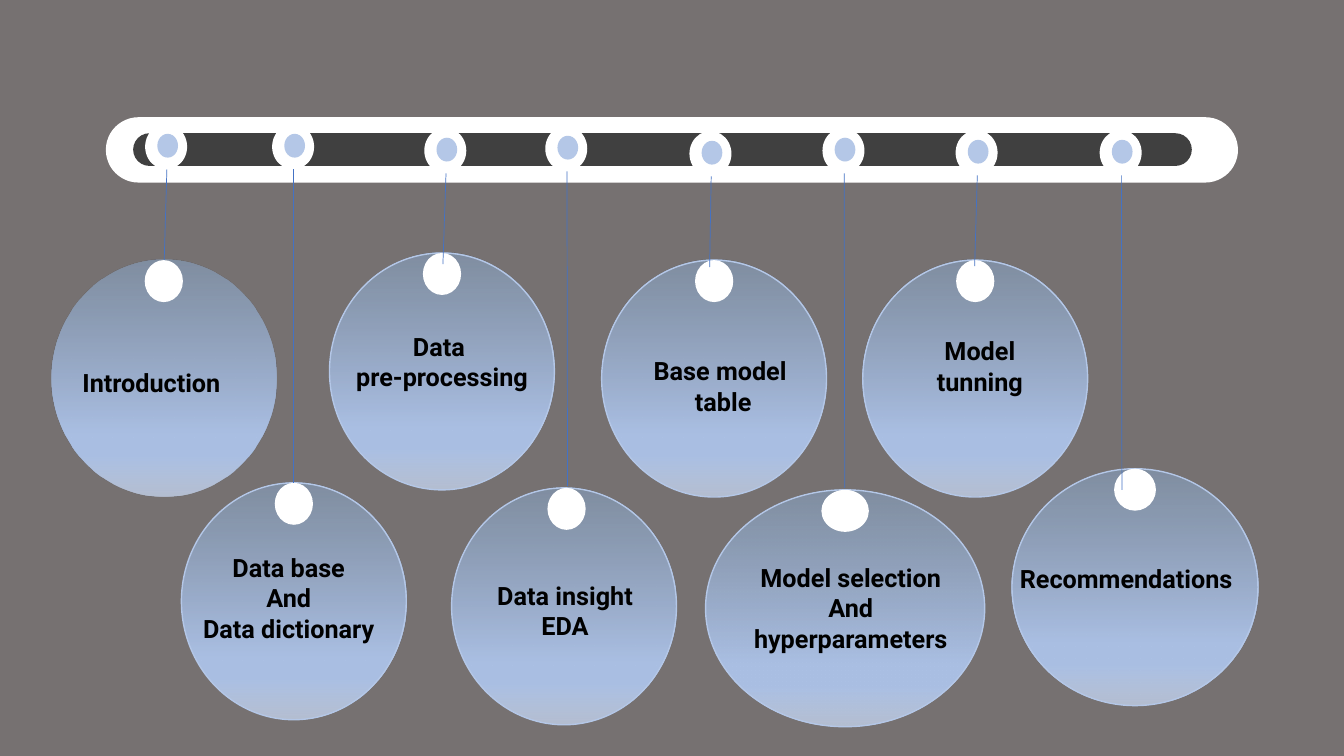
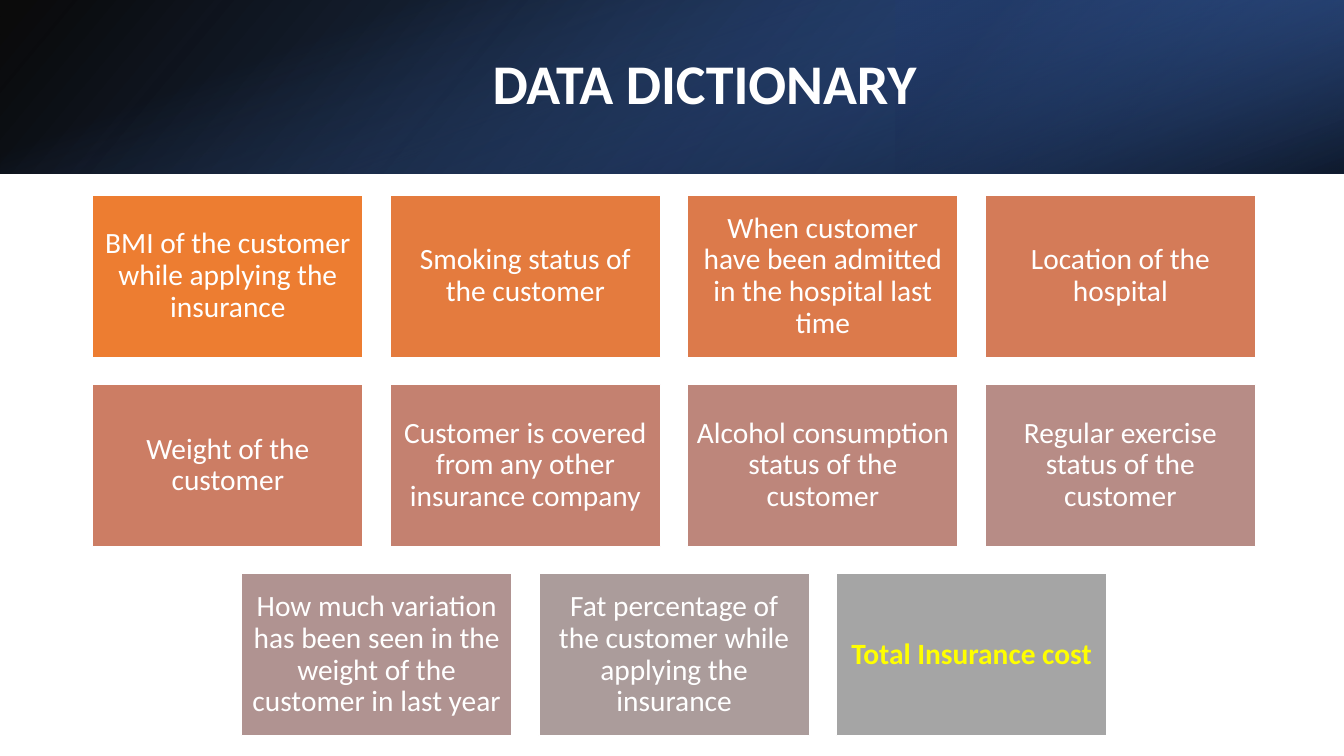
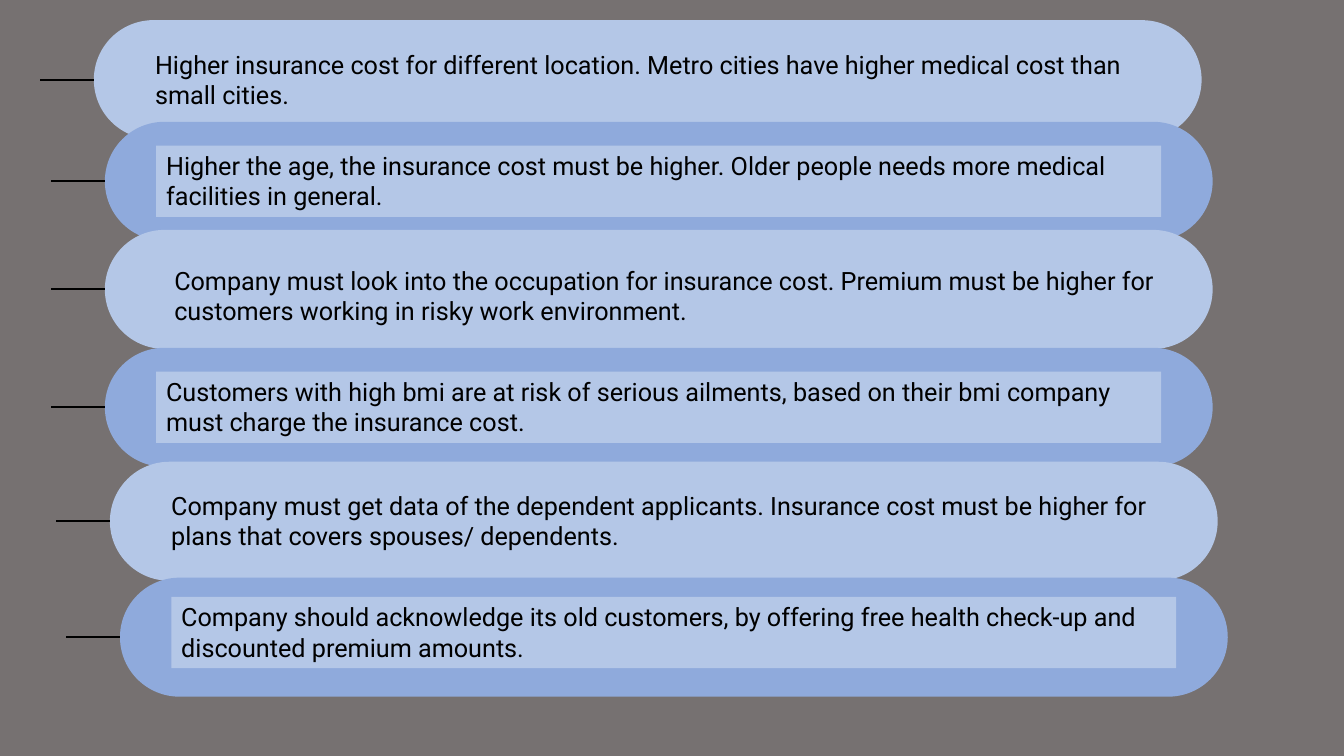
from collections import namedtuple

from lxml import etree
from pptx import Presentation
from pptx import util as u
from pptx.dml.color import RGBColor
from pptx.enum import shapes, text
from pptx.oxml import parse_xml
from pptx.oxml.ns import nsdecls, qn

PALETTE = {
    "stone": "767171", "white": "FFFFFF", "black": "000000", "slot": "404040",
    "pale": "B4C7E7", "blue": "8FAADC", "cord": "4472C4", "yellow": "FFFF00",
}
HEADING, BODY = "Calibri", "Roboto"
SHAPE, ALIGN, ANCHOR = shapes.MSO_SHAPE, text.PP_ALIGN, text.MSO_ANCHOR
WIDTH, HEIGHT = 960, 540

DISC_GRADIENT = [(0, "8497B0", 76), (74, "ABC0E4", 100), (83, "ABC0E4", 100), (100, "C7D5ED", 77)]
BANNER_GRADIENT = [(0, "000000", 96), (100, "2F5597", 100)]
CORNER_GRADIENT = [(19, "203864", 68), (100, "4472C4", 79)]
SHADE_GRADIENT = [(23, "4472C4", 0), (99, "000000", 74)]

Pendant = namedtuple(
    "Pendant", "label disc ring cord_end label_box align knob_shift",
    defaults=(ALIGN.CENTER, 0))
PENDANTS = [
    Pendant("Introduction", (36.7, 185.8, 160.6), (103.7, 88.6), (80.6, 0),
            (15.1, 72.7, 151), ALIGN.LEFT),
    Pendant("Data base\nAnd\nData dictionary", (129.6, 344.9, 160.6), (194.4, 88.6),
            (80.3, 0), (-2.2, 46.1, 157.7)),
    Pendant("Data \npre-processing", (235.4, 180.7, 160.6), (303.1, 91.4), (81, 8),
            (4.4, 52.6, 152)),
    Pendant("Data insight\nEDA", (322.6, 348.5, 160.6), (389.5, 90), (82.8, -1.5),
            (7.2, 62.6, 147.6), knob_shift=1.8),
    Pendant("Base model \ntable", (429.8, 185.8, 160.6), (492.5, 93.6), (77.1, 5),
            (16.6, 64.8, 140.4)),
    Pendant("Model selection\nAnd\nhyperparameters", (504, 349.9, 199.4), (587.5, 91.4),
            (99.4, -1.4), (16.6, 48.3, 174.2)),
    Pendant("Model tunning", (616.3, 185.8, 160.6), (682.6, 92.9), (79.9, 4.3),
            (26.7, 50.4, 113.8)),
    Pendant("Recommendations", (722.9, 334.8, 175.7), (785.5, 92.9), (78.5, 15.1),
            (-1.5, 64.1, 185.8), ALIGN.LEFT),
]

FIELD_ROWS = [
    [("BMI of the customer while applying the insurance", "ED7D31"),
     ("Smoking status of the customer", "E47B3E"),
     ("When customer have been admitted in the hospital last time", "DC7A4B"),
     ("Location of the hospital", "D47B58")],
    [("Weight of the customer", "CC7D64"),
     ("Customer is covered from any other insurance company", "C48170"),
     ("Alcohol consumption status of the customer", "BD867B"),
     ("Regular exercise status of the customer", "B78C86")],
    [("How much variation has been seen in the weight of the customer in last year", "B09391"),
     ("Fat percentage of the customer while applying the insurance", "AB9C9B"),
     ("Total Insurance cost", "A5A5A5")],
]

ADVICE = [
    ("Higher insurance cost for different location. Metro cities have higher medical cost "
     "than small cities.", (67, 14.4), (36.7, 17)),
    ("Higher the age, the insurance cost must be higher. Older people needs more medical "
     "facilities in general.", (74.9, 87), (36.7, 17)),
    ("Company must look into the occupation for insurance cost. Premium must be higher for "
     "customers working in risky work environment.", (74.9, 164.2), (42.5, 21.6)),
    ("Customers with high bmi are at risk of serious ailments, based on their bmi company "
     "must charge the insurance cost.", (74.9, 248.4), (36.7, 17)),
    ("Company must get data of the dependent applicants. Insurance cost must be higher for "
     "plans that covers spouses/ dependents.", (78.5, 329.8), (36.7, 16.6)),
    ("Company should acknowledge its old customers, by offering free health check-up and "
     "discounted premium amounts.", (85.7, 412.6), (36.7, 13.7)),
]


def rgb(colour):
    return RGBColor.from_string(PALETTE.get(colour, colour))


def add_slide(deck, background):
    slide = deck.slides.add_slide(deck.slide_layouts[6])
    slide.background.fill.solid()
    slide.background.fill.fore_color.rgb = rgb(background)
    return slide


def add_block(slide, kind, box, fill, outline=None):
    block = slide.shapes.add_shape(kind, *map(u.Pt, box))
    block.shadow.inherit = False
    block.fill.solid()
    block.fill.fore_color.rgb = rgb(fill)
    if outline:
        block.line.color.rgb = rgb(outline)
        block.line.width = u.Pt(1)
    else:
        block.line.fill.background()
    if kind == SHAPE.ROUNDED_RECTANGLE:
        block.adjustments[0] = 0.5
    return block


def add_gradient(block, stops, angle):
    marks = "".join(
        f'<a:gs pos="{place * 1000}"><a:srgbClr val="{colour}">'
        f'<a:alpha val="{opacity * 1000}"/></a:srgbClr></a:gs>'
        for place, colour, opacity in stops)
    gradient = parse_xml(
        f'<a:gradFill {nsdecls("a")} rotWithShape="1"><a:gsLst>{marks}</a:gsLst>'
        f'<a:lin ang="{angle * 60000}" scaled="0"/></a:gradFill>')
    properties = block._element.spPr
    properties.replace(properties.find(qn("a:solidFill")), gradient)


def add_rule(slide, start, end, colour, width):
    rule = slide.shapes.add_connector(
        shapes.MSO_CONNECTOR.STRAIGHT, *map(u.Pt, (*start, *end)))
    rule.line.color.rgb = rgb(colour)
    rule.line.width = u.Pt(width)
    etree.SubElement(rule._element.spPr, qn("a:effectLst"))


def write(holder, words, font, size, colour="black", bold=False, align=ALIGN.LEFT,
          anchor=ANCHOR.TOP, spacing=1, inset=None):
    frame = holder.text_frame
    frame.word_wrap = True
    frame.vertical_anchor = anchor
    if inset is not None:
        frame.margin_left = frame.margin_right = u.Pt(inset)
        frame.margin_top = frame.margin_bottom = u.Pt(inset)
    frame.text = words
    for paragraph in frame.paragraphs:
        paragraph.alignment = align
        paragraph.line_spacing = spacing
        for run in paragraph.runs:
            run.font.name = font
            run.font.size = u.Pt(size)
            run.font.bold = bold
            run.font.color.rgb = rgb(colour)


def add_words(slide, box, words, font, size, **style):
    write(slide.shapes.add_textbox(*map(u.Pt, box)), words, font, size, **style)


def draw_rail(slide, left, top, width, height):
    add_block(slide, SHAPE.ROUNDED_RECTANGLE, (left, top, width, height), "white")
    add_block(slide, SHAPE.ROUNDED_RECTANGLE,
              (left + 19.5, top + 11.5, width - 52.5, height / 2), "slot")


def draw_pendant(slide, pendant, outline):
    left, top, width = pendant.disc
    disc = add_block(slide, SHAPE.OVAL, (left, top, width, 169.2), "pale", outline)
    add_gradient(disc, DISC_GRADIENT, 90)

    knob_width = width * 0.17
    knob_left = left + (width - knob_width) / 2 + pendant.knob_shift
    add_block(slide, SHAPE.OVAL, (knob_left, top, knob_width, 30), "white")

    ring_left, ring_top = pendant.ring
    add_block(slide, SHAPE.OVAL, (ring_left, ring_top, 30, 32.4), "white")
    add_block(slide, SHAPE.OVAL, (ring_left + 8.7, ring_top + 7, 14.8, 17), "pale")

    cord_x, cord_y = pendant.cord_end
    add_rule(slide, (ring_left + 15.5, ring_top + 32.4), (left + cord_x, top + cord_y),
             "cord", 0.5)

    label_x, label_y, label_width = pendant.label_box
    label_height = 7.2 + 21.6 * len(pendant.label.split("\n"))
    add_words(slide, (left + label_x, top + label_y, label_width, label_height),
              pendant.label, BODY, 18, bold=True, align=pendant.align)


def draw_banner(slide, width, height):
    banner = add_block(slide, SHAPE.RECTANGLE, (0, 0, width, height), "black")
    add_gradient(banner, BANNER_GRADIENT, 140)
    corner = add_block(slide, SHAPE.RECTANGLE, (width * 2 / 3, 0, width / 3, height), "black")
    add_gradient(corner, CORNER_GRADIENT, 320)
    corner.rotation = 180
    for mirrored in (banner, corner):
        mirrored._element.spPr.xfrm.set("flipH", "1")
    reach = (width - height) / 2
    shade = add_block(slide, SHAPE.RECTANGLE, (reach, -reach, height, width), "black")
    add_gradient(shade, SHADE_GRADIENT, 340)
    shade.rotation = 90
    add_words(slide, (108, 27.4, 790.6, 69), "DATA DICTIONARY", HEADING, 40, colour="white",
              bold=True, align=ALIGN.CENTER, anchor=ANCHOR.MIDDLE, spacing=0.9)


def draw_fields(slide, left, top, width):
    card_width, card_height, gap = 193.2, 115.9, 19.3
    for row, fields in enumerate(FIELD_ROWS):
        row_width = len(fields) * (card_width + gap) - gap
        row_left = left + (width - row_width) / 2
        for column, (field, shade) in enumerate(fields):
            box = (row_left + column * (card_width + gap), top + row * (card_height + gap),
                   card_width, card_height)
            card = add_block(slide, SHAPE.RECTANGLE, box, shade, "white")
            is_target = field == "Total Insurance cost"
            write(card, field, HEADING, 21, "yellow" if is_target else "white", is_target,
                  ALIGN.CENTER, ANCHOR.MIDDLE, 0.9, 6.3)


def draw_advice(slide, advice, pill_at, plate_offset, fill):
    left, top = pill_at
    width, height = 791.3, 85
    add_block(slide, SHAPE.ROUNDED_RECTANGLE, (left, top, width, height), fill)
    middle = top + height / 2
    add_rule(slide, (left - 38.2, middle), (left, middle), "black", 1.5)
    plate_x, plate_y = plate_offset
    plate = add_block(slide, SHAPE.RECTANGLE,
                      (left + plate_x, top + plate_y, 717.8, 50.9), "pale")
    write(plate, advice, BODY, 18)


def build_agenda(deck):
    slide = add_slide(deck, "stone")
    draw_rail(slide, 75.6, 83.7, 808.7, 46.7)
    for order, pendant in enumerate(PENDANTS):
        draw_pendant(slide, pendant, "pale" if order else None)


def build_dictionary(deck):
    slide = add_slide(deck, "white")
    draw_banner(slide, WIDTH, 124)
    draw_fields(slide, 66.2, 139.3, 830.7)


def build_recommendations(deck):
    slide = add_slide(deck, "stone")
    for order, (advice, pill_at, plate_offset) in enumerate(ADVICE):
        draw_advice(slide, advice, pill_at, plate_offset, ("pale", "blue")[order % 2])


def main():
    deck = Presentation()
    deck.slide_width, deck.slide_height = u.Pt(WIDTH), u.Pt(HEIGHT)
    build_agenda(deck)
    build_dictionary(deck)
    build_recommendations(deck)
    deck.save("out.pptx")


if __name__ == "__main__":
    main()
